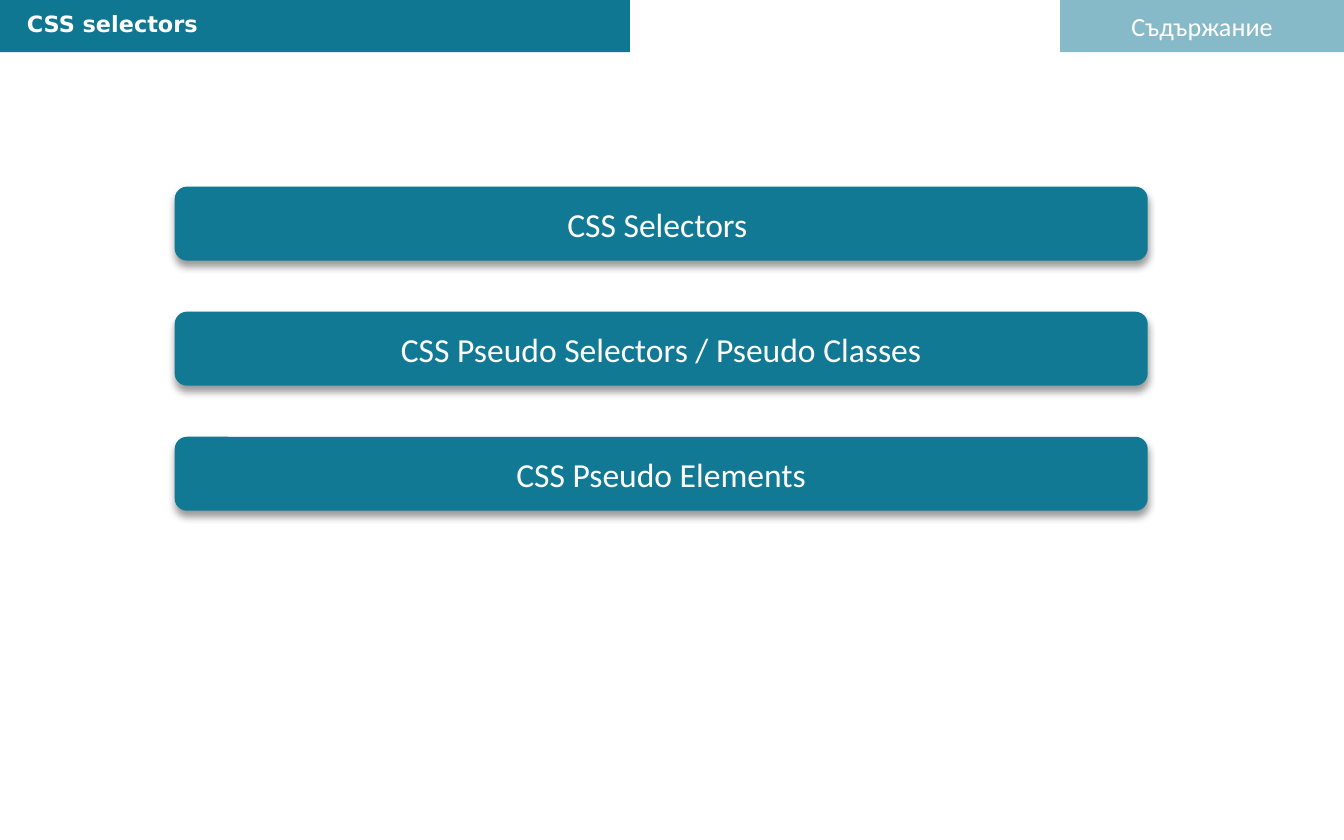
from dataclasses import dataclass

from lxml import etree
from pptx import Presentation
from pptx.dml.color import RGBColor
from pptx.enum.shapes import MSO_SHAPE
from pptx.enum.text import MSO_ANCHOR, MSO_AUTO_SIZE, PP_ALIGN
from pptx.oxml.ns import qn
from pptx.util import Pt

RECT, ROUNDED = MSO_SHAPE.RECTANGLE, MSO_SHAPE.ROUNDED_RECTANGLE
TOP, MIDDLE = MSO_ANCHOR.TOP, MSO_ANCHOR.MIDDLE
LEFT, CENTER = PP_ALIGN.LEFT, PP_ALIGN.CENTER
NO_AUTOFIT = MSO_AUTO_SIZE.NONE


@dataclass(frozen=True)
class Theme:
    """Colours, fonts and type sizes of the deck."""
    banner: str = "0F7792"
    topic: str = "127994"
    text: str = "FFFFFF"
    shadow: str = "000000"
    body_font: str = "Calibri"
    title_font: str = "DejaVu Sans"
    title_size: int = 12
    tab_size: int = 14
    topic_size: int = 18


THEME = Theme()
TOPICS = (
    "CSS Selectors ",
    "CSS Pseudo Selectors / Pseudo Classes",
    "CSS Pseudo Elements",
)


def write(shape, text, *, size, font=THEME.body_font, bold=False, align=CENTER, anchor=MIDDLE):
    """Put formatted text into a shape."""
    frame = shape.text_frame
    frame.word_wrap = True
    frame.auto_size = NO_AUTOFIT
    frame.vertical_anchor = anchor
    paragraph = frame.paragraphs[0]
    paragraph.alignment = align
    run = paragraph.add_run()
    run.text = text
    run.font.name = font
    run.font.size = Pt(size)
    run.font.bold = bold
    run.font.color.rgb = RGBColor.from_string(THEME.text)


def add_panel(slide, kind, box, color):
    """Add a filled shape without line or shadow."""
    panel = slide.shapes.add_shape(kind, *map(Pt, box))
    panel.shadow.inherit = False
    panel.fill.solid()
    panel.fill.fore_color.rgb = RGBColor.from_string(color)
    panel.line.fill.background()
    return panel


def set_alpha(color, percent):
    """Set the opacity of a colour element."""
    etree.SubElement(color, qn("a:alpha"), val=str(percent * 1000))


def add_drop_shadow(shape):
    """Give a shape a soft shadow straight below it."""
    effects = shape._element.spPr.find(qn("a:effectLst"))
    shadow = etree.SubElement(
        effects, qn("a:outerShdw"), blurRad=str(Pt(4)), dist=str(Pt(3)),
        dir=str(90 * 60000), rotWithShape="0")
    set_alpha(etree.SubElement(shadow, qn("a:srgbClr"), val=THEME.shadow), 40)


def build_section_tab(slide, box, text):
    """Place the translucent section tab."""
    tab = add_panel(slide, RECT, box, THEME.banner)
    set_alpha(tab._element.spPr.find(qn("a:solidFill"))[0], 50)
    write(tab, text, size=THEME.tab_size)


def build_title_banner(slide, box, text):
    """Place the banner with the slide title on top of it."""
    add_panel(slide, RECT, box, THEME.banner)
    left, top, width, height = box
    title = slide.shapes.title
    title.left, title.top = Pt(left + 7.2), Pt(top + 2)
    title.width, title.height = Pt(width - 13), Pt(height - 6)
    write(title, text, size=THEME.title_size, font=THEME.title_font,
          bold=True, align=LEFT, anchor=TOP)
    slide.shapes._spTree.append(title._element)


def build_topics(slide, box, topics, bar_height):
    """Spread the topic bars evenly down the box."""
    left, top, width, height = box
    pitch = (height - bar_height) / (len(topics) - 1)
    for index, topic in enumerate(topics):
        bar_box = (left, top + index * pitch, width, bar_height)
        bar = add_panel(slide, ROUNDED, bar_box, THEME.topic)
        add_drop_shadow(bar)
        write(bar, topic, size=THEME.topic_size)


def main():
    """Build and save the contents slide."""
    deck = Presentation()
    deck.slide_width, deck.slide_height = Pt(720), Pt(450)
    slide = deck.slides.add_slide(deck.slide_layouts.get_by_name("Title Only"))
    build_section_tab(slide, (568, 0, 152, 28), "Съдържание")
    build_title_banner(slide, (0, 0, 337.5, 28), "CSS selectors")
    build_topics(slide, (93.6, 100, 521.3, 173.6), TOPICS, 39.6)
    deck.save("out.pptx")


if __name__ == "__main__":
    main()
